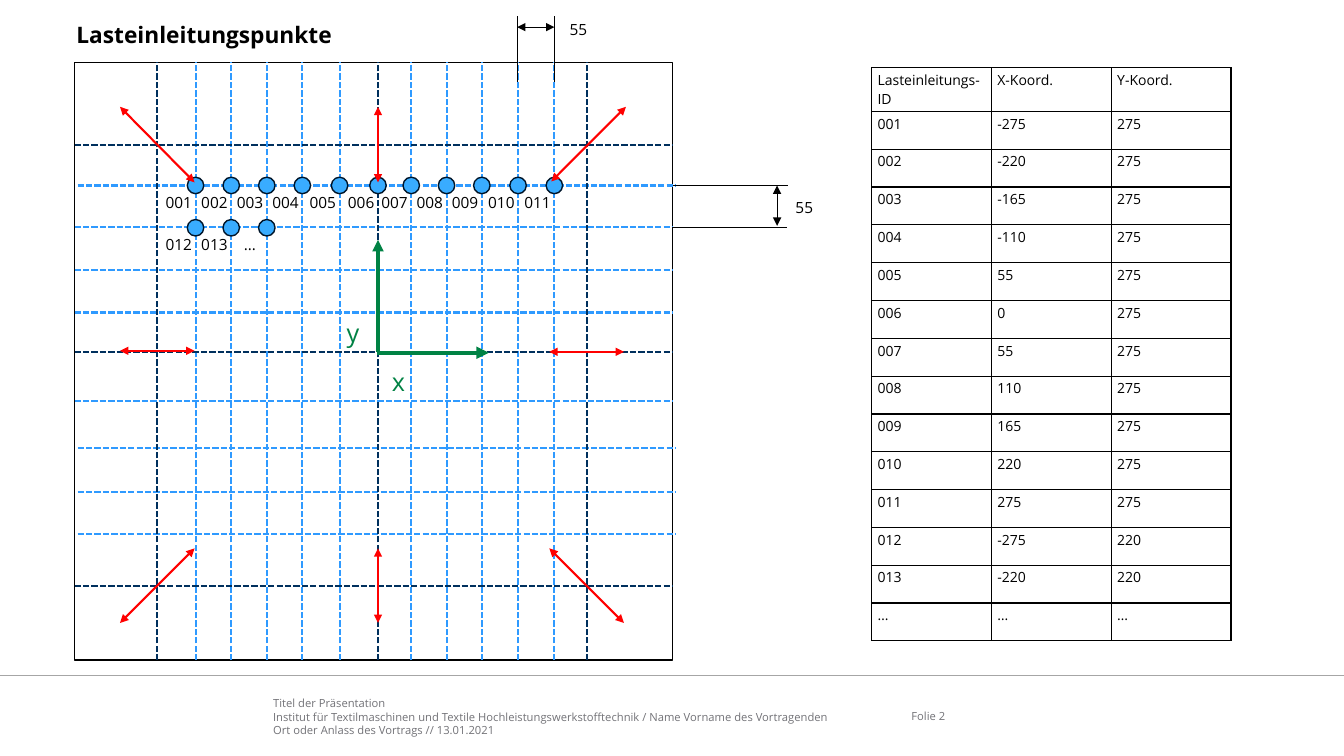
from dataclasses import dataclass
from typing import Optional

from lxml.etree import SubElement
from pptx import Presentation
from pptx.dml.color import RGBColor
from pptx.enum.dml import MSO_LINE
from pptx.enum.shapes import MSO_CONNECTOR, MSO_SHAPE
from pptx.enum.text import MSO_ANCHOR, PP_ALIGN
from pptx.oxml import parse_xml
from pptx.oxml.ns import nsdecls, qn
from pptx.util import Pt


@dataclass(frozen=True)
class Theme:
    font: str = "Open Sans"
    black: str = "000000"
    grid: str = "2F9AFF"
    axis: str = "00305D"
    load: str = "FF0000"
    system: str = "008244"
    dot: str = "39ACFF"
    dot_edge: str = "001529"
    rule: str = "A6A6A6"
    footer: str = "727277"
    title_size: float = 16.2
    axis_size: float = 18
    label_size: float = 11
    table_size: float = 10
    footer_size: float = 8


@dataclass(frozen=True)
class Stroke:
    colour: str
    width: float
    dashed: bool = False
    head: bool = False
    tail: bool = False


@dataclass(frozen=True)
class Segment:
    x1: float
    y1: float
    x2: float
    y2: float
    stroke: Stroke


@dataclass(frozen=True)
class Label:
    text: str
    left: float
    top: float
    width: float
    height: float
    size: float
    colour: str = "000000"
    bold: bool = False
    centred: bool = False
    middle: bool = False
    inset: bool = True
    leading: Optional[float] = None


THEME = Theme()
GRID = Stroke(THEME.grid, 1.5, dashed=True)
AXIS = Stroke(THEME.axis, 1.5, dashed=True)
LOAD = Stroke(THEME.load, 1.5, head=True, tail=True)
MEASURE = Stroke(THEME.black, 0.5, head=True, tail=True)
EXTENSION = Stroke(THEME.black, 0.75)

# Board and its grid
LEFT, TOP, SIDE = 53.3, 44.6, 427
RIGHT, BOTTOM = LEFT + SIDE, TOP + SIDE
CENTRE_X = 270
COLUMNS = (139.7, 165.2, 190.6, 216, 242.6, CENTRE_X, 293.8, 319, 344.2, 370.1, 396)
ROWS = (132.5, 162, 193, 223.2, 286.6, 319.7, 351.4, 381.6)
OVERHANGING_ROWS = (132.5, 319.7, 351.4, 381.6)
AXIS_COLUMNS = (112.3, CENTRE_X, 419)
AXIS_ROWS = (103.7, 251.3, 418.3)
DOT_SIZE = 11.8

LOADS = (
    (139, 391.7, 85.7, 445), (445.7, 445, 392.4, 391.7),
    (445.7, 251.3, 392.4, 251.3), (139, 250.6, 85.7, 250.6),
    (CENTRE_X, 445, CENTRE_X, 391.7), (CENTRE_X, 130.3, CENTRE_X, 76.3),
    (447.1, 76.3, 393.8, 129.6), (85.7, 76.3, 139, 130.3),
)
SYSTEM_AXES = (
    Segment(CENTRE_X, 251.3, CENTRE_X, 171.4, Stroke(THEME.system, 2.75, tail=True)),
    Segment(269.3, 252, 349.2, 252, Stroke(THEME.system, 3, tail=True)),
)
DIMENSIONS = (
    Segment(555.1, 132.5, 555.1, 161.3, MEASURE),
    Segment(481, 132.5, 563, 132.5, EXTENSION),
    Segment(480.3, 162.7, 562.3, 162.7, EXTENSION),
    Segment(396, 58.3, 396, 11.5, EXTENSION),
    Segment(369.4, 58.3, 369.4, 11.5, EXTENSION),
    Segment(396, 19.4, 369.4, 19.4, MEASURE),
)
FOOTER = (
    "Titel der Präsentation\n"
    "Institut für Textilmaschinen und Textile Hochleistungswerkstofftechnik"
    " / Name Vorname des Vortragenden\n"
    "Ort oder Anlass des Vortrags // 13.01.2021"
)
LABELS = (
    Label("Lasteinleitungspunkte", 47.5, 11.5, 258.5, 26.6, THEME.title_size, bold=True),
    Label("x", 272.9, 257.8, 79.2, 28.8, THEME.axis_size, THEME.system),
    Label("y", 240.5, 223.2, 74.2, 28.8, THEME.axis_size, THEME.system),
    Label(FOOTER, 195.1, 497.5, 424.8, 28.8, THEME.footer_size, THEME.footer,
          inset=False, leading=9.6),
    Label("Folie 2", 635.8, 496.8, 54.7, 28.8, THEME.footer_size, THEME.footer,
          centred=True, middle=True, inset=False),
)

# Load points
FIRST_ROW = tuple(f"{number:03}" for number in range(1, 12))
SECOND_ROW = ("012", "013", "…")
X_VALUES = ("-275", "-220", "-165", "-110", "55", "0", "55", "110", "165", "220", "275",
            "-275", "-220", "…")
Y_VALUES = ("275",) * 11 + ("220", "220", "…")
TABLE_ROWS = [("Lasteinleitungs-ID", "X-Koord.", "Y-Koord."),
              *zip(FIRST_ROW + SECOND_ROW, X_VALUES, Y_VALUES)]


def style_span(span, size: float, colour: str, bold: bool = False) -> None:
    span.font.name = THEME.font
    span.font.size = Pt(size)
    span.font.bold = bold
    span.font.color.rgb = RGBColor.from_string(colour)


def draw_segment(page, segment: Segment) -> None:
    connector = page.shapes.add_connector(
        MSO_CONNECTOR.STRAIGHT, Pt(segment.x1), Pt(segment.y1), Pt(segment.x2), Pt(segment.y2))
    stroke = segment.stroke
    connector.line.color.rgb = RGBColor.from_string(stroke.colour)
    connector.line.width = Pt(stroke.width)
    if stroke.dashed:
        connector.line.dash_style = MSO_LINE.SQUARE_DOT
    outline = connector.line._get_or_add_ln()
    for tag, present in (("a:headEnd", stroke.head), ("a:tailEnd", stroke.tail)):
        if present:
            SubElement(outline, qn(tag), type="triangle")
    SubElement(connector._element.spPr, qn("a:effectLst"))


def draw_label(page, label: Label) -> None:
    box = page.shapes.add_textbox(
        Pt(label.left), Pt(label.top), Pt(label.width), Pt(label.height))
    frame = box.text_frame
    frame.word_wrap = True
    frame.vertical_anchor = MSO_ANCHOR.MIDDLE if label.middle else MSO_ANCHOR.TOP
    if not label.inset:
        frame.margin_left = frame.margin_right = frame.margin_top = frame.margin_bottom = Pt(0)
    frame.text = label.text
    for para in frame.paragraphs:
        para.alignment = PP_ALIGN.CENTER if label.centred else PP_ALIGN.LEFT
        if label.leading:
            para.line_spacing = Pt(label.leading)
        for span in para.runs:
            style_span(span, label.size, label.colour, label.bold)


def draw_small_label(page, text: str, left: float, top: float) -> None:
    draw_label(page, Label(text, left, top, 46, 20.9, THEME.label_size,
                           centred=True, middle=True))


def draw_point(page, text: str, x: float, y: float) -> None:
    dot = page.shapes.add_shape(MSO_SHAPE.OVAL, Pt(x - DOT_SIZE / 2), Pt(y - DOT_SIZE / 2),
                                Pt(DOT_SIZE), Pt(DOT_SIZE))
    dot.shadow.inherit = False
    dot.fill.solid()
    dot.fill.fore_color.rgb = RGBColor.from_string(THEME.dot)
    dot.line.color.rgb = RGBColor.from_string(THEME.dot_edge)
    dot.line.width = Pt(1)
    draw_small_label(page, text, x - 35, y + 1.4)


def draw_board(page) -> None:
    board = page.shapes.add_shape(MSO_SHAPE.RECTANGLE, Pt(LEFT), Pt(TOP), Pt(SIDE), Pt(SIDE))
    board.shadow.inherit = False
    board.fill.background()
    board.line.color.rgb = RGBColor.from_string(THEME.black)
    board.line.width = Pt(1)
    for columns, rows, stroke in ((COLUMNS, ROWS, GRID), (AXIS_COLUMNS, AXIS_ROWS, AXIS)):
        for x in columns:
            draw_segment(page, Segment(x, BOTTOM, x, TOP, stroke))
        for y in rows:
            shift = 2.2 if y in OVERHANGING_ROWS else 0
            draw_segment(page, Segment(LEFT + shift, y, RIGHT + shift, y, stroke))


def draw_table(page) -> None:
    table = page.shapes.add_table(len(TABLE_ROWS), 3, Pt(622.6), Pt(48.4),
                                  Pt(256.8), Pt(409.8)).table
    table.first_row = table.horz_banding = False
    for column in table.columns:
        column.width = Pt(85.6)
    for row, values in zip(table.rows, TABLE_ROWS):
        row.height = Pt(31.2 if values == TABLE_ROWS[0] else 27.04)
        for cell, value in zip(row.cells, values):
            cell.margin_left = cell.margin_right = Pt(4.3)
            cell.margin_top = cell.margin_bottom = Pt(2)
            cell.fill.background()
            cell.text_frame.text = value
            style_span(cell.text_frame.paragraphs[0].runs[0], THEME.table_size, THEME.black)
            for index, side in enumerate("LRTB"):
                cell._tc.get_or_add_tcPr().insert(index, parse_xml(
                    f'<a:ln{side} {nsdecls("a")} w="{Pt(1)}"><a:solidFill>'
                    f'<a:srgbClr val="{THEME.black}"/></a:solidFill></a:ln{side}>'))


def main() -> None:
    deck = Presentation()
    deck.slide_width, deck.slide_height = Pt(960), Pt(540)
    page = deck.slides.add_slide(deck.slide_layouts[6])

    # Texts and footer rule
    draw_segment(page, Segment(0, 482.4, 960, 482.4, Stroke(THEME.rule, 1)))
    for label in LABELS:
        draw_label(page, label)

    # Board with coordinate system, points and loads
    draw_board(page)
    for segment in SYSTEM_AXES:
        draw_segment(page, segment)
    for names, y in ((FIRST_ROW, 132.5), (SECOND_ROW, 162.7)):
        for name, x in zip(names, COLUMNS):
            draw_point(page, name, x, y)
    for ends in LOADS:
        draw_segment(page, Segment(*ends, LOAD))

    # Dimensions
    for segment in DIMENSIONS:
        draw_segment(page, segment)
    for left, top in ((551.5, 137.5), (390.2, 10.8)):
        draw_small_label(page, "55", left, top)

    draw_table(page)
    deck.save("out.pptx")


if __name__ == "__main__":
    main()
